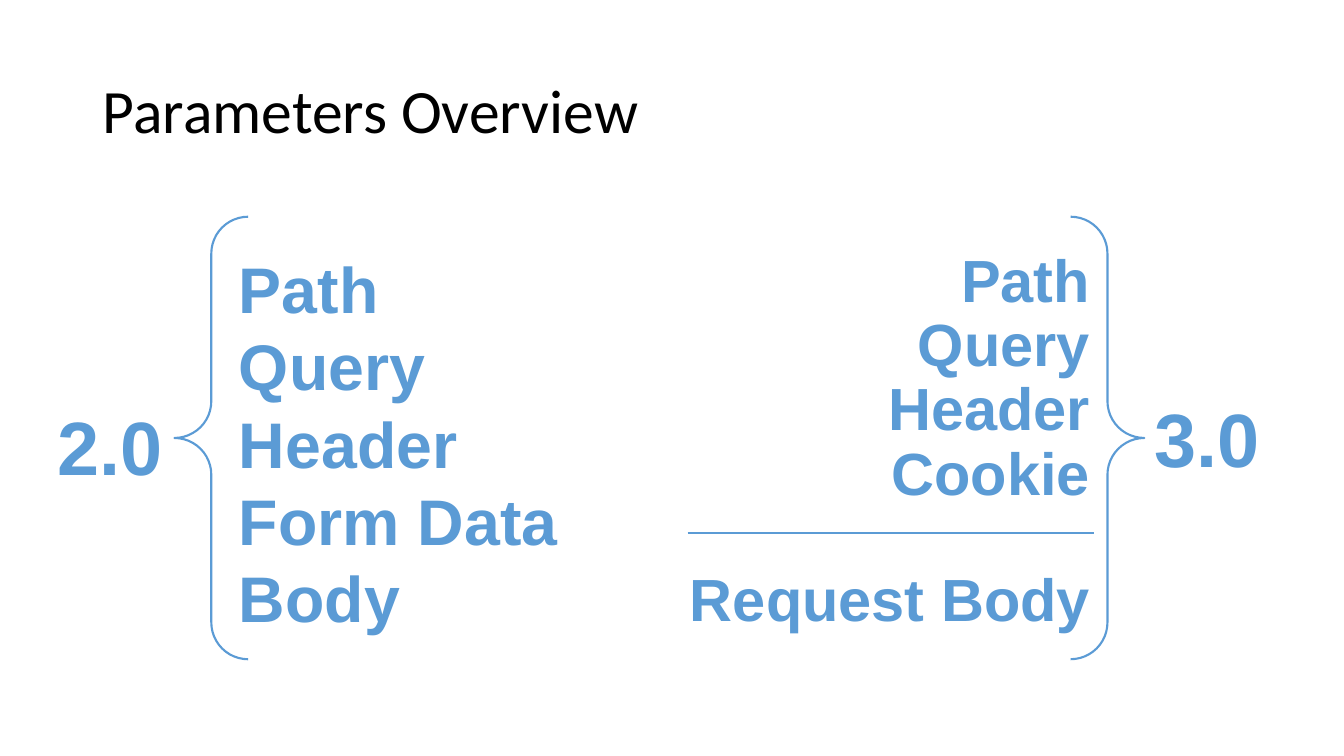
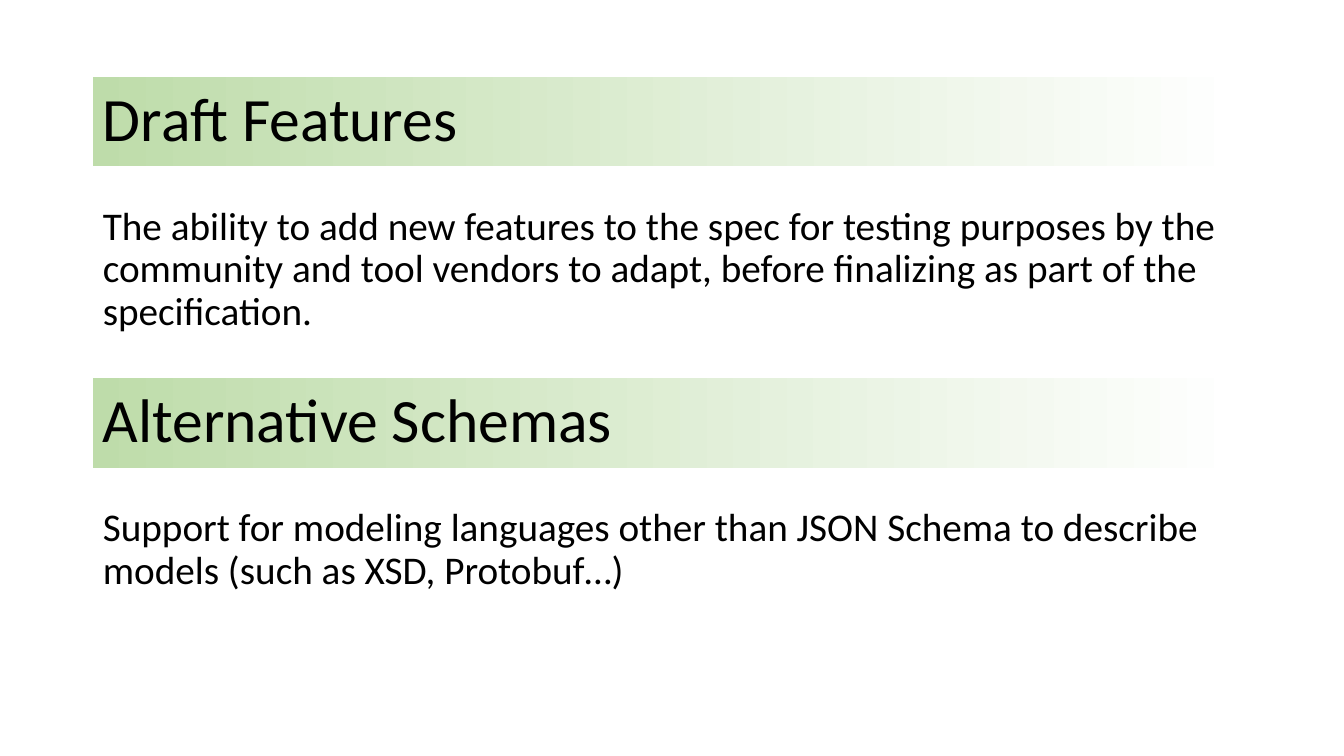
"""Build two slides: a parameters overview and a list of draft features."""
from lxml.etree import SubElement
from pptx import Presentation
from pptx.dml.color import RGBColor as RGB
from pptx.enum.shapes import MSO_CONNECTOR as LINK, MSO_SHAPE as SHAPE
from pptx.enum.text import MSO_ANCHOR as ANCHOR, MSO_AUTO_SIZE as FIT, PP_ALIGN as ALIGN
from pptx.oxml.ns import qn
from pptx.util import Pt

PX = 9144
COLORS = {"ink": "000000", "accent": "5B9BD5", "band": "BEDCAA", "paper": "FFFFFF"}
SLIDE = (1333, 750)
LEFT, WIDTH = 92, 1150

OVERVIEW = "Parameters Overview"
VERSIONS = [("2.0", (47, 392, 125, 101)), ("3.0", (1135, 384, 125, 101))]
OLD_PARAMETERS = ["Path", "Query", "Header", "Form Data", "Body"]
NEW_PARAMETERS = ["Path", "Query", "Header", "Cookie", "Request Body"]
BRACES = (173, 215, 962, 439)
DIVIDER = (682, 529, 1085, 529)
FEATURES = [
    ("Draft Features",
     "The ability to add new features to the spec for testing purposes by the community "
     "and tool vendors to adapt, before finalizing as part of the specification."),
    ("Alternative Schemas",
     "Support for modeling languages other than JSON Schema to describe models "
     "(such as XSD, Protobuf…)"),
]
FEATURE_TOP, FEATURE_STEP, BAND_HEIGHT, TEXT_OFFSET, TEXT_HEIGHT = 76, 299, 89, 124, 175

HEADING = {"font": {"name": "Calibri", "size": Pt(44), "bold": False}, "color": "ink",
           "paragraph": {"alignment": ALIGN.LEFT, "line_spacing": 0.9, "space_before": Pt(0)},
           "frame": {"vertical_anchor": ANCHOR.MIDDLE, "word_wrap": True, "auto_size": FIT.NONE}}
DETAIL = {"font": {"name": "Calibri", "size": Pt(28)}, "color": "ink",
          "paragraph": {"alignment": ALIGN.LEFT, "line_spacing": 0.9, "space_before": Pt(10)},
          "frame": {"vertical_anchor": ANCHOR.TOP, "word_wrap": True, "auto_size": FIT.NONE}}
VERSION = {"font": {"name": "Arial", "size": Pt(54), "bold": True}, "color": "accent",
           "paragraph": {"alignment": ALIGN.CENTER}, "outline": "paper",
           "frame": {"word_wrap": False, "auto_size": FIT.SHAPE_TO_FIT_TEXT}}
OLD_LIST = {"font": {"name": "Arial", "size": Pt(46), "bold": True}, "color": "accent",
            "paragraph": {"alignment": ALIGN.LEFT, "line_spacing": 1.0, "space_before": Pt(0)},
            "frame": HEADING["frame"], "outline": "paper"}
NEW_LIST = {**OLD_LIST, "font": {**OLD_LIST["font"], "size": Pt(42.5)},
            "paragraph": {"alignment": ALIGN.RIGHT, "line_spacing": 0.9, "space_before": Pt(0)}}


def color(name):
    return RGB.from_string(COLORS[name])


def emu(box):
    return [px * PX for px in box]


def assign(target, values):
    for name, value in values.items():
        setattr(target, name, value)


def place(part, box):
    assign(part, dict(zip(("left", "top", "width", "height"), emu(box))))


def write(part, lines, style):
    frame = part.text_frame
    frame.text = "\n".join(lines)
    assign(frame, style["frame"])
    for paragraph in frame.paragraphs:
        assign(paragraph, style["paragraph"])
        properties = paragraph._p.get_or_add_pPr()
        assign_indent = {"marL": "0", "indent": "0"}
        for name, value in assign_indent.items():
            properties.set(name, value)
        SubElement(properties, qn("a:buNone"))
        font = paragraph.runs[0].font
        assign(font, style["font"])
        font.color.rgb = color(style["color"])
        if "outline" in style:
            outline = SubElement(font._element, qn("a:ln"), w=str(Pt(0.75)))
            font._element.insert(0, outline)
            fill = SubElement(outline, qn("a:solidFill"))
            SubElement(fill, qn("a:srgbClr"), val=COLORS[style["outline"]])


def stroke(part):
    part.line.color.rgb = color("accent")
    part.line.width = Pt(1.5)


def fill_band(band):
    band.fill.gradient()
    band.fill.gradient_angle = 0
    for stop, (name, position) in zip(band.fill.gradient_stops, [("band", 0), ("paper", 0.99)]):
        stop.color.rgb = color(name)
        stop.position = position


def build_overview(slide):
    title, old_list, new_list = slide.placeholders
    for part, box, lines, style in [
        (title, (LEFT, 40, WIDTH, 145), [OVERVIEW], HEADING),
        (old_list, (227, 228, 366, 422), OLD_PARAMETERS, OLD_LIST),
        (new_list, (621, 228, 470, 422), NEW_PARAMETERS, NEW_LIST),
    ]:
        place(part, box)
        write(part, lines, style)
    new_list.text_frame.paragraphs[-1].space_before = Pt(44)

    for number, box in VERSIONS:
        write(slide.shapes.add_textbox(*emu(box)), [number], VERSION)
    braces = slide.shapes.add_shape(SHAPE.DOUBLE_BRACE, *emu(BRACES))
    braces.shadow.inherit = False
    braces.fill.background()
    stroke(braces)
    divider = slide.shapes.add_connector(LINK.STRAIGHT, *emu(DIVIDER))
    stroke(divider)
    SubElement(divider._element.spPr, qn("a:effectLst"))


def build_features(slide):
    title, *details = slide.placeholders
    second_band = slide.shapes.add_shape(SHAPE.RECTANGLE, 0, 0, PX, PX)
    second_band.shadow.inherit = False
    second_band.line.fill.background()
    for index, (heading, text) in enumerate(FEATURES):
        top = FEATURE_TOP + index * FEATURE_STEP
        band, detail = (title, second_band)[index], details[index]
        place(band, (LEFT, top, WIDTH, BAND_HEIGHT))
        fill_band(band)
        write(band, [heading], HEADING)
        place(detail, (LEFT, top + TEXT_OFFSET, WIDTH, TEXT_HEIGHT))
        write(detail, [text], DETAIL)


def main():
    deck = Presentation()
    assign(deck, dict(zip(("slide_width", "slide_height"), emu(SLIDE))))
    two_content = deck.slide_layouts.get_by_name("Two Content")
    for build in (build_overview, build_features):
        build(deck.slides.add_slide(two_content))
    deck.save("out.pptx")


if __name__ == "__main__":
    main()
